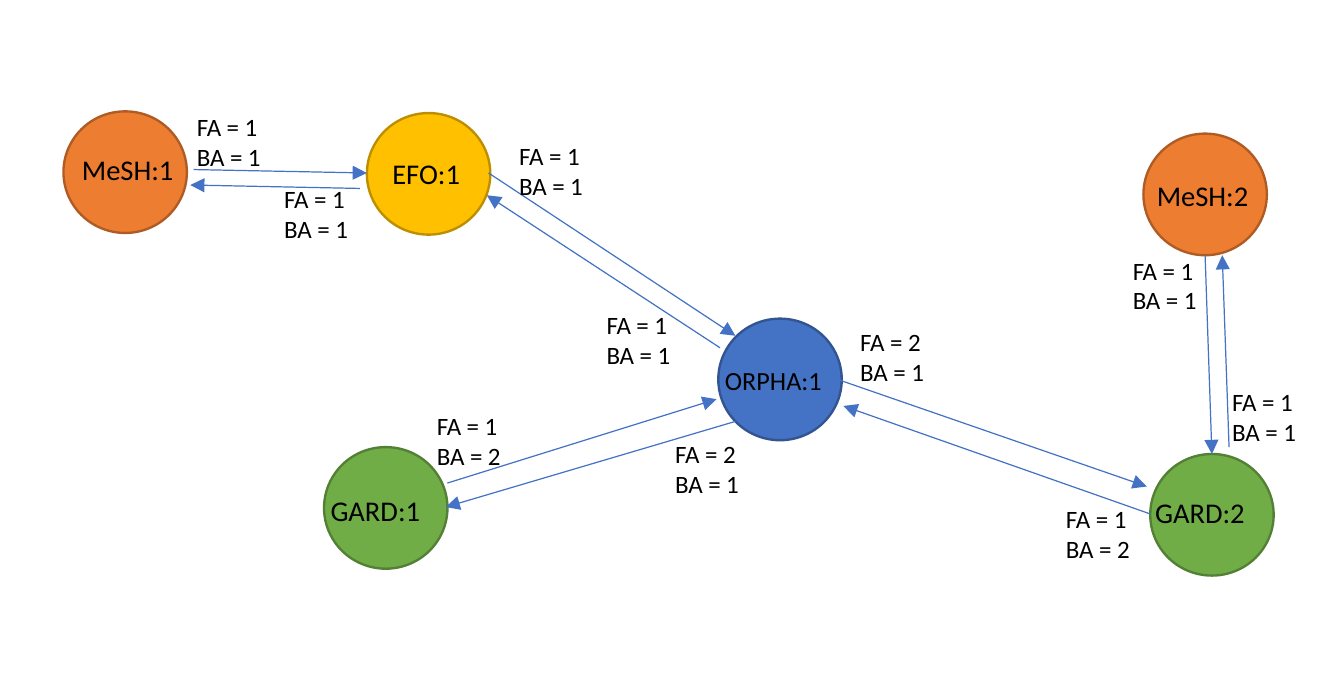
from dataclasses import dataclass

from pptx import Presentation
from pptx.dml.color import RGBColor
from pptx.enum.shapes import MSO_CONNECTOR as Connector, MSO_SHAPE as Shape
from pptx.oxml.ns import qn
from pptx.util import Inches, Pt
from lxml.etree import SubElement


@dataclass(frozen=True)
class Theme:
    """Colours, type sizes and line widths of the slide."""
    font: str = "Calibri"
    text: str = "000000"
    arrow: str = "4472C4"
    blue: tuple = ("4472C4", "325491")
    orange: tuple = ("ED7D31", "AF5C24")
    green: tuple = ("70AD47", "538035")
    yellow: tuple = ("FFC000", "BD8E00")
    name_size: float = 12
    small_name_size: float = 11
    weight_size: float = 10.5
    outline: float = 1
    arrow_width: float = 0.5


class Diagram:
    """Draws the elements of the graph on one slide."""

    def __init__(self, page, theme):
        """Keep the slide and its style."""
        self.page = page
        self.theme = theme

    def circle(self, left, top, colors):
        """Add a node circle with its fill and outline."""
        fill, outline = colors
        node = self.page.shapes.add_shape(
            Shape.OVAL, Inches(left), Inches(top), Inches(0.72), Inches(0.71))
        node.shadow.inherit = False
        node.fill.solid()
        node.fill.fore_color.rgb = RGBColor.from_string(fill)
        node.line.color.rgb = RGBColor.from_string(outline)
        node.line.width = Pt(self.theme.outline)

    def arrow(self, start, end):
        """Add a thin line with a triangle at its end."""
        points = [Inches(value) for value in (*start, *end)]
        line = self.page.shapes.add_connector(Connector.STRAIGHT, *points)
        line.line.color.rgb = RGBColor.from_string(self.theme.arrow)
        line.line.width = Pt(self.theme.arrow_width)
        SubElement(line.line._get_or_add_ln(), qn("a:tailEnd"), type="triangle")
        SubElement(line._element.spPr, qn("a:effectLst"))

    def label(self, lines, left, top, width, height, size):
        """Add unwrapped text, one run for each line."""
        box = self.page.shapes.add_textbox(
            Inches(left), Inches(top), Inches(width), Inches(height))
        box.text_frame.word_wrap = False
        para = box.text_frame.paragraphs[0]
        for index, line in enumerate(lines):
            if index:
                para.add_line_break()
            span = para.add_run()
            span.text = line
            span.font.name = self.theme.font
            span.font.size = Pt(size)
            span.font.color.rgb = RGBColor.from_string(self.theme.text)

    def weights(self, forward, backward, left, top):
        """Add the FA and BA values of an arrow."""
        self.label((f"FA = {forward}", f"BA = {backward}"),
                   left, top, 0.6, 0.47, self.theme.weight_size)


theme = Theme()

# name, circle left and top, colours, label left, top and width, type size
NODES = [
    ("ORPHA:1", 4.19, 1.86, theme.blue, 4.13, 2.08, 0.77, theme.small_name_size),
    ("MeSH:1", 0.37, 0.65, theme.orange, 0.38, 0.84, 0.74, theme.name_size),
    ("GARD:2", 6.71, 2.65, theme.green, 6.64, 2.84, 0.73, theme.name_size),
    ("MeSH:2", 6.67, 0.78, theme.orange, 6.65, 0.99, 0.74, theme.name_size),
    ("GARD:1", 1.89, 2.61, theme.green, 1.83, 2.83, 0.73, theme.name_size),
    ("EFO:1", 2.14, 0.66, theme.yellow, 2.19, 0.86, 0.6, theme.name_size),
]

# arrow start and end, FA, BA, left and top of the values
EDGES = [
    ((1.13, 0.99), (2.14, 1.01), 1, 1, 1.05, 0.6),
    ((2.1, 1.1), (1.11, 1.08), 1, 1, 1.56, 1.02),
    ((2.85, 1.01), (4.29, 1.96), 1, 1, 2.93, 0.77),
    ((4.2, 2.03), (2.84, 1.14), 1, 1, 3.44, 1.76),
    ((2.61, 2.82), (4.18, 2.33), 1, 2, 2.45, 2.35),
    ((4.29, 2.46), (2.6, 2.96), 2, 1, 3.84, 2.51),
    ((4.9, 2.22), (6.69, 2.84), 2, 1, 4.92, 1.86),
    ((6.71, 3), (4.92, 2.37), 1, 2, 6.12, 2.89),
    ((7.03, 1.49), (7.07, 2.65), 1, 1, 6.51, 1.44),
    ((7.17, 2.61), (7.13, 1.49), 1, 1, 7.09, 2.21),
]

deck = Presentation()
deck.slide_width, deck.slide_height = Inches(7.84), Inches(3.94)
diagram = Diagram(deck.slides.add_slide(deck.slide_layouts[6]), theme)

for name, left, top, colors, *place in NODES:
    diagram.circle(left, top, colors)
for start, end, *values in EDGES:
    diagram.arrow(start, end)
    diagram.weights(*values)
for name, left, top, colors, label_left, label_top, width, size in NODES:
    diagram.label((name,), label_left, label_top, width, 0.3, size)

deck.save("out.pptx")
